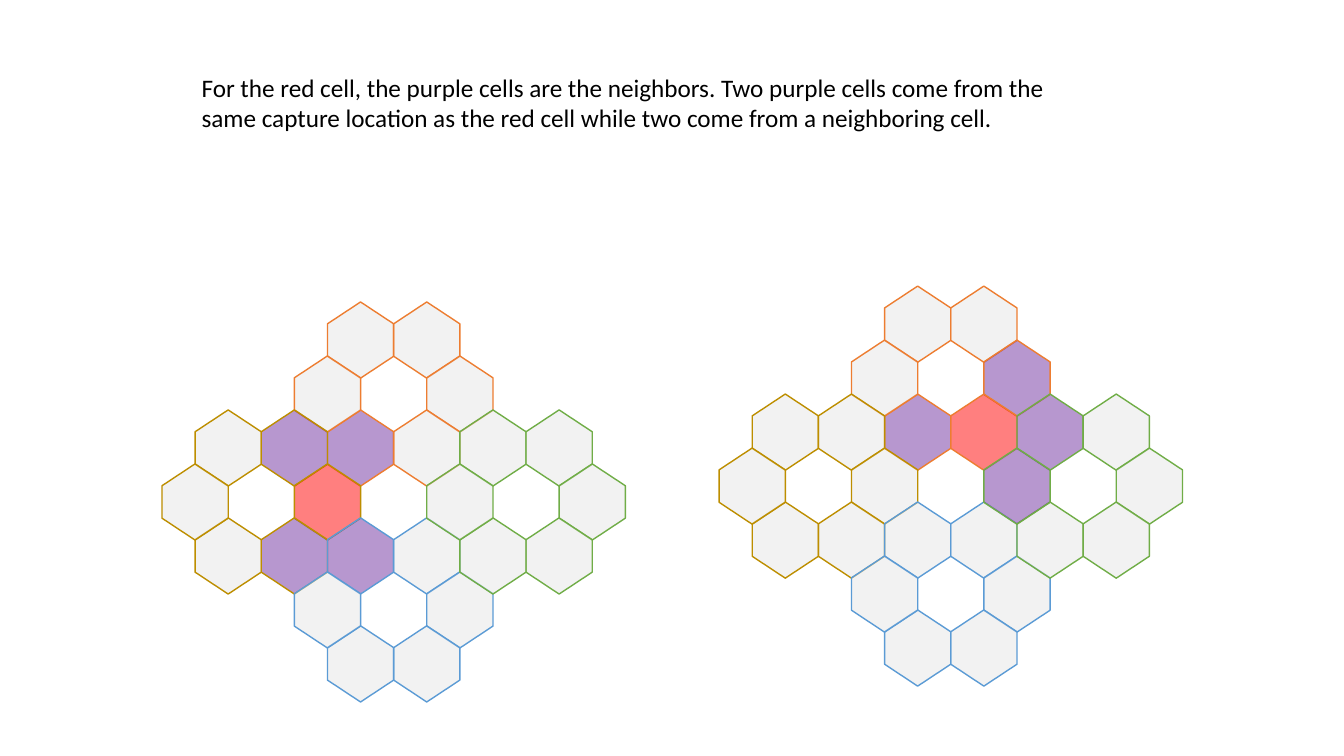
"""Build a slide showing the neighbors of a red cell in two hexagon clusters."""
from lxml import etree
from pptx import Presentation, util as u
from pptx.dml.color import RGBColor
from pptx.enum import shapes
from pptx.oxml.ns import qn

COLORS = {
    "orange": "ED7D31", "gold": "BD8E00", "blue": "5B9BD5", "green": "70AD47",
    "grey": "E7E6E6", "purple": "7030A0", "red": "FF0000", "black": "000000",
}
HEX_LONG, HEX_WIDE = 1.92, 1.67
HALF_STEP, ROW_STEP = 0.834, 1.36
RING = [(-1, -1), (1, -1), (2, 0), (1, 1), (-1, 1), (-2, 0)]
LOCATIONS = {"orange": (0, -2), "gold": (-4, 0), "blue": (0, 2), "green": (4, 0)}
CLUSTERS = [
    {"center": (23.96, 12.25), "red": (1, -1),
     "purple": [(2, -2), (-1, -1), (3, -1), (2, 0)]},
    {"center": (9.92, 12.65), "red": (-2, 0),
     "purple": [(-1, -1), (-3, -1), (-3, 1), (-1, 1)]},
]


def add_text(s, content, left, top, width, height, size=18, font="Calibri", color="black"):
    tf = s.shapes.add_textbox(u.Cm(left), u.Cm(top), u.Cm(width), u.Cm(height)).text_frame
    tf.word_wrap = True
    r = tf.paragraphs[0].add_run()
    r.text = content
    r.font.size = u.Pt(size)
    r.font.name = font
    r.font.color.rgb = RGBColor.from_string(COLORS[color])


def add_cell(s, x, y, fill, line):
    sp = s.shapes.add_shape(
        shapes.MSO_SHAPE.HEXAGON, u.Cm(x - HEX_LONG / 2), u.Cm(y - HEX_WIDE / 2),
        u.Cm(HEX_LONG), u.Cm(HEX_WIDE))
    sp.rotation = 90
    sp.adjustments[0] = 0.33
    sp.shadow.inherit = False
    sp.fill.solid()
    sp.fill.fore_color.rgb = RGBColor.from_string(COLORS[fill])
    tint = sp.fill._xPr.find(qn("a:solidFill"))[0]
    etree.SubElement(tint, qn("a:alpha"), val="50000")
    sp.line.color.rgb = RGBColor.from_string(COLORS[line])
    sp.line.width = u.Pt(1)


prs = Presentation()
prs.slide_width, prs.slide_height = u.Cm(33.87), u.Cm(19.05)
s = prs.slides.add_slide(prs.slide_layouts[6])

for cluster in CLUSTERS:
    center_x, center_y = cluster["center"]
    for line, (col, row) in LOCATIONS.items():
        for dx, dy in RING:
            cell = (col + dx, row + dy)
            fill = "grey"
            if cell == cluster["red"]:
                fill = "red"
            elif cell in cluster["purple"]:
                fill = "purple"
            add_cell(s, center_x + cell[0] * HALF_STEP, center_y + cell[1] * ROW_STEP, fill, line)

add_text(s, "For the red cell, the purple cells are the neighbors. Two purple cells come from "
         "the same capture location as the red cell while two come from a neighboring cell.",
         left=4.83, top=1.7, width=22.89, height=1.8)

prs.save("out.pptx")
